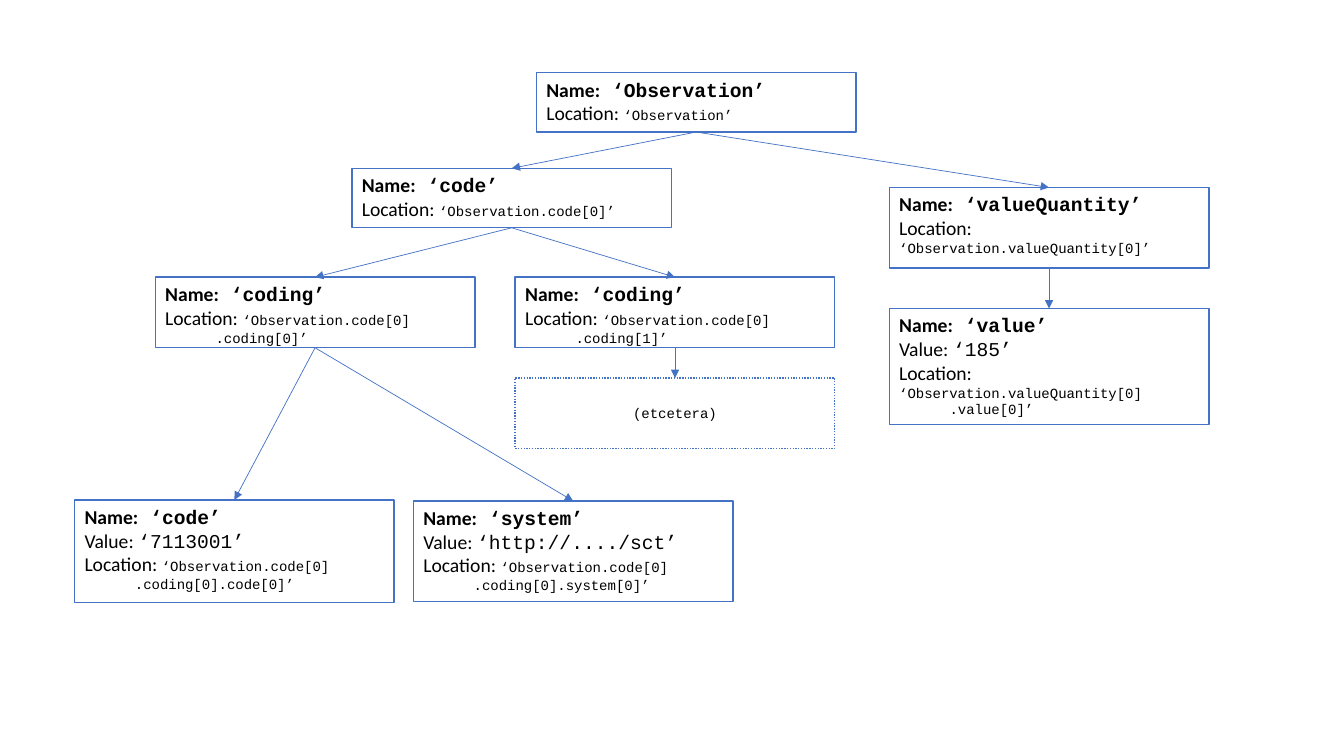
from lxml import etree
from pptx import Presentation
from pptx.dml.color import RGBColor
from pptx.enum.dml import MSO_LINE
from pptx.enum.shapes import MSO_CONNECTOR, MSO_SHAPE
from pptx.enum.text import MSO_ANCHOR, PP_ALIGN
from pptx.oxml.ns import qn
from pptx.util import Inches, Pt

BLUE = RGBColor(0x44, 0x72, 0xC4)
WHITE = RGBColor(0xFF, 0xFF, 0xFF)
BLACK = RGBColor(0x00, 0x00, 0x00)
RECT, STRAIGHT = MSO_SHAPE.RECTANGLE, MSO_CONNECTOR.STRAIGHT
DOTTED = MSO_LINE.ROUND_DOT
TOP, MIDDLE = MSO_ANCHOR.TOP, MSO_ANCHOR.MIDDLE
LEFT, CENTER = PP_ALIGN.LEFT, PP_ALIGN.CENTER
TOP_SITE, BOTTOM_SITE = 0, 2
BOX_W = 3.17

LABEL = {"name": "Calibri", "size": Pt(14), "bold": False}
HEAD = {**LABEL, "bold": True}
CODE = {**LABEL, "name": "Courier New"}
CODE_HEAD = {**CODE, "bold": True}
CODE_SMALL = {**CODE, "size": Pt(10)}

NODES = {
    "observation": (5.32, 0.72, 0.59, "Observation", None, ["‘Observation’"]),
    "code": (3.49, 1.67, 0.59, "code", None, ["‘Observation.code[0]’"]),
    "coding 0": (1.54, 2.75, 0.7, "coding", None,
                 ["‘Observation.code[0]", "\t.coding[0]’"]),
    "coding 1": (5.11, 2.75, 0.7, "coding", None,
                 ["‘Observation.code[0]", "\t.coding[1]’"]),
    "coding code": (0.74, 4.96, 1.02, "code", "7113001",
                    ["‘Observation.code[0]", "\t.coding[0].code[0]’"]),
    "system": (4.1, 4.97, 1, "system", "http://..../sct",
               ["‘Observation.code[0]", "\t.coding[0].system[0]’"]),
    "quantity": (8.82, 1.86, 0.8, "valueQuantity", None,
                 ["‘Observation.valueQuantity[0]’"]),
    "value": (8.82, 3.06, 1.15, "value", "185",
              ["‘Observation.valueQuantity[0]", "\t.value[0]’"]),
}
LINKS = [
    ("observation", "code"), ("observation", "quantity"),
    ("code", "coding 0"), ("code", "coding 1"),
    ("coding 0", "coding code"), ("coding 0", "system"),
    ("coding 1", "etcetera"), ("quantity", "value"),
]


class TreeSlide:
    """Draws the boxes and arrows of a node tree on one slide."""

    def __init__(self, s):
        self.s = s
        self.boxes = {}

    def box(self, key, left, top, height, anchor=TOP):
        sp = self.s.shapes.add_shape(RECT, Inches(left), Inches(top),
                                     Inches(BOX_W), Inches(height))
        sp.shadow.inherit = False
        sp.fill.solid()
        sp.fill.fore_color.rgb = WHITE
        sp.line.color.rgb = BLUE
        sp.line.width = Pt(1)
        sp.text_frame.word_wrap = True
        sp.text_frame.vertical_anchor = anchor
        self.boxes[key] = sp
        return sp

    def run(self, p, text, style):
        r = p.add_run()
        r.text = text
        r.font.color.rgb = BLACK
        for attr, value in style.items():
            setattr(r.font, attr, value)

    def node(self, key, left, top, height, name, value, location):
        tf = self.box(key, left, top, height).text_frame
        p = tf.paragraphs[0]
        p.alignment = LEFT
        self.run(p, "Name:", HEAD)
        self.run(p, f" ‘{name}’", CODE_HEAD)
        if value:
            p = tf.add_paragraph()
            p.alignment = LEFT
            self.run(p, "Value: ", LABEL)
            self.run(p, f"‘{value}’", CODE)
        p = tf.add_paragraph()
        p.alignment = LEFT
        self.run(p, "Location: ", LABEL)
        for i, line in enumerate(location):
            if i:
                p.add_line_break()
            self.run(p, line, CODE_SMALL)

    def placeholder_node(self, key, left, top, height, text):
        sp = self.box(key, left, top, height, MIDDLE)
        sp.line.dash_style = DOTTED
        p = sp.text_frame.paragraphs[0]
        p.alignment = CENTER
        self.run(p, text, CODE_SMALL)

    def arrow(self, parent, child):
        c = self.s.shapes.add_connector(STRAIGHT, 0, 0, 0, 0)
        c.begin_connect(self.boxes[parent], BOTTOM_SITE)
        c.end_connect(self.boxes[child], TOP_SITE)
        c.line.color.rgb = BLUE
        c.line.width = Pt(0.5)
        etree.SubElement(c.line._get_or_add_ln(), qn("a:tailEnd"), type="triangle")
        etree.SubElement(c._element.spPr, qn("a:effectLst"))


def main():
    prs = Presentation()
    prs.slide_width, prs.slide_height = Inches(13.33), Inches(7.5)
    tree = TreeSlide(prs.slides.add_slide(prs.slide_layouts[6]))
    for key, node in NODES.items():
        tree.node(key, *node)
    tree.placeholder_node("etcetera", 5.11, 3.75, 0.7, "(etcetera)")
    for parent, child in LINKS:
        tree.arrow(parent, child)
    prs.save("out.pptx")


if __name__ == "__main__":
    main()
